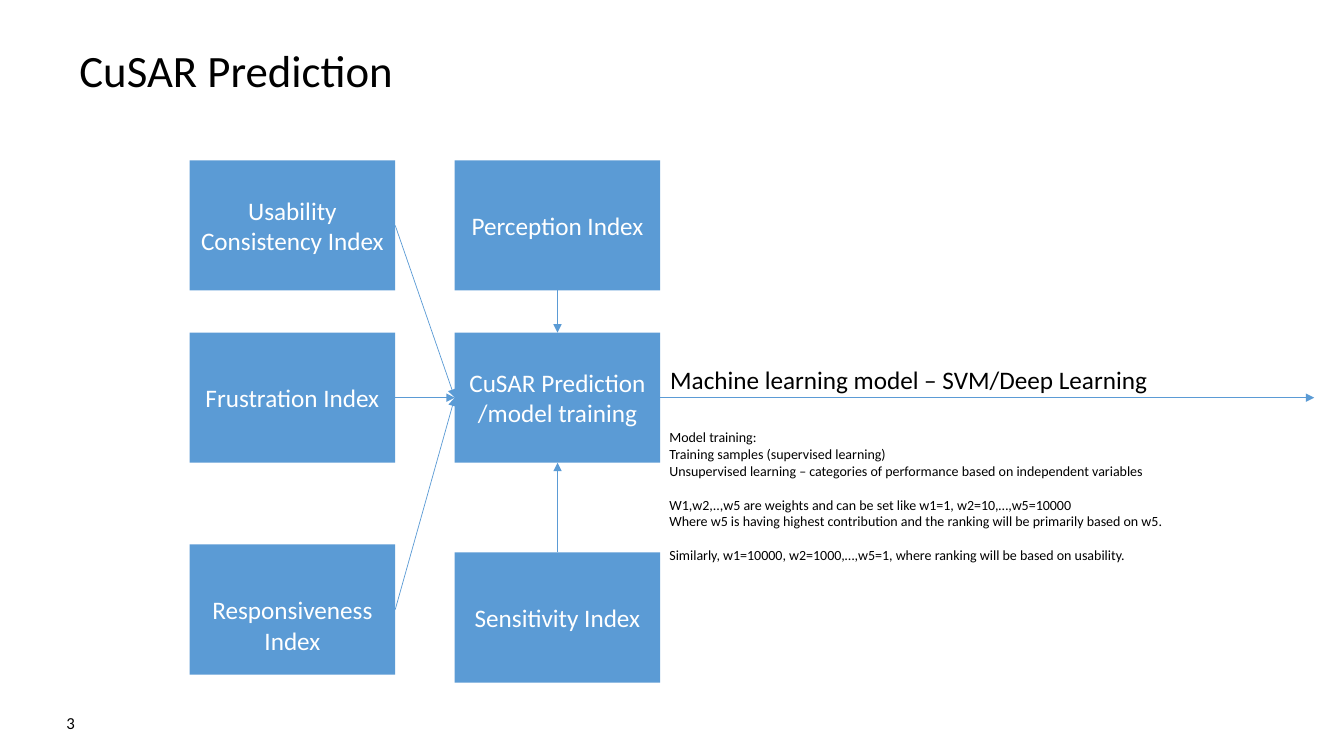
from lxml.etree import SubElement
from pptx import Presentation
from pptx.dml.color import RGBColor
from pptx.enum.shapes import MSO_CONNECTOR as CONN, MSO_SHAPE as SHAPE
from pptx.enum.text import MSO_ANCHOR as ANCHOR, MSO_AUTO_SIZE as FIT, PP_ALIGN as ALIGN
from pptx.oxml.ns import qn
from pptx.util import Cm, Pt

TOP, LEFT, BOTTOM, RIGHT = range(4)
SIDES = ("left", "top", "right", "bottom")


def rgb(value):
    """Turn a hex string into a colour."""
    return RGBColor.from_string(value)


class Deck:
    """Hold the style and the current slide."""
    font, ink, light, blue = "Calibri", "000000", "FFFFFF", "5B9BD5"
    box_w, box_h = 5.18, 3.28

    def __init__(self, prs):
        """Add a title-only slide."""
        self.slide = prs.slides.add_slide(prs.slide_layouts[5])

    def set_text(self, sp, lines, size, color=None, inset=(0, 0, 0, 0), gaps=(), line=None,
                 align=ALIGN.LEFT, anchor=ANCHOR.TOP, wrap=True):
        """Fill a shape with paragraphs; gaps lists those that follow a wide break."""
        tf = sp.text_frame
        frame = {"word_wrap": wrap, "auto_size": FIT.NONE, "vertical_anchor": anchor}
        frame.update((f"margin_{side}", Cm(v)) for side, v in zip(SIDES, inset))
        for name, value in frame.items():
            setattr(tf, name, value)
        for i, text in enumerate(lines):
            p = tf.add_paragraph() if i else tf.paragraphs[0]
            r = p.add_run()
            r.text = text
            space = Pt(size * 1.22 if i in gaps else 0)
            fmt = {"alignment": align, "line_spacing": line, "space_before": space}
            for name, value in fmt.items():
                setattr(p, name, value)
            for name, value in {"name": self.font, "size": Pt(size)}.items():
                setattr(r.font, name, value)
            r.font.color.rgb = rgb(color or self.ink)

    def title(self, text, x, y, w, h):
        """Place and format the title."""
        sp = self.slide.shapes.title
        for name, value in {"left": x, "top": y, "width": w, "height": h}.items():
            setattr(sp, name, Cm(value))
        self.set_text(sp, [text], 32, line=0.9)

    def text(self, lines, x, y, w, h, size, **fmt):
        """Add a text box."""
        sp = self.slide.shapes.add_textbox(Cm(x), Cm(y), Cm(w), Cm(h))
        self.set_text(sp, lines, size, **fmt)

    def box(self, lines, x, y, drop=0):
        """Add a blue box, its label lowered by a larger top inset."""
        sp = self.slide.shapes.add_shape(
            SHAPE.RECTANGLE, Cm(x), Cm(y), Cm(self.box_w), Cm(self.box_h))
        sp.shadow.inherit = False
        sp.fill.solid()
        sp.fill.fore_color.rgb = rgb(self.blue)
        sp.line.fill.background()
        self.set_text(sp, lines, 18, self.light, (0.25, 0.13 + drop, 0.25, 0.13),
                      align=ALIGN.CENTER, anchor=ANCHOR.MIDDLE)
        return sp

    def arrow(self, start, site, end=None, end_site=None, length=0):
        """Add an arrow from a box to another box, or to the right by a length."""
        x, y = start.left + start.width, start.top + start.height // 2
        cx = self.slide.shapes.add_connector(CONN.STRAIGHT, x, y, x + Cm(length), y)
        cx.begin_connect(start, site)
        if end is not None:
            cx.end_connect(end, end_site)
        cx.line.color.rgb = rgb(self.blue)
        cx.line.width = Pt(0.5)
        props = cx.element.spPr
        SubElement(props.find(qn("a:ln")), qn("a:tailEnd"), type="triangle")
        SubElement(props, qn("a:effectLst"))


def main():
    """Build the prediction slide."""
    prs = Presentation()
    prs.slide_width, prs.slide_height = Cm(33.87), Cm(19.05)
    deck = Deck(prs)
    deck.title("CuSAR Prediction", 2, 1.24, 29.87, 2.8)
    deck.text(["3"], 0.89, 17.96, 1, 0.56, 12, align=ALIGN.RIGHT)

    col1, col2 = 4.78, 11.46
    row1, row2 = 4.04, 8.38
    model = deck.box(["CuSAR Prediction", "/model training"], col2, row2)
    indexes = [
        ("Usability Consistency Index", col1, row1, 0, RIGHT, LEFT),
        ("Perception Index", col2, row1, 0, BOTTOM, TOP),
        ("Frustration Index", col1, row2, 0, RIGHT, LEFT),
        ("Responsiveness Index", col1, 13.72, 0.77, RIGHT, LEFT),
        ("Sensitivity Index", col2, 13.92, 0, TOP, BOTTOM),
    ]
    boxes = [deck.box([label], x, y, drop) for label, x, y, drop, *_ in indexes]
    for sp, (*_, site, model_site) in zip(boxes, indexes):
        deck.arrow(sp, site, model, model_site)
    deck.arrow(model, RIGHT, length=16.48)

    deck.text(["Machine learning model – SVM/Deep Learning"], 16.64, 9.04, 12.7, 1.02, 18,
              inset=(0.25, 0.13, 0.25, 0.13), wrap=False)
    notes = [
        "Model training:",
        "Training samples (supervised learning)",
        "Unsupervised learning – categories of performance based on independent variables",
        "W1,w2,..,w5 are weights and can be set like w1=1, w2=10,…,w5=10000",
        "Where w5 is having highest contribution and the ranking will be primarily based on w5.",
        "Similarly, w1=10000, w2=1000,…,w5=1, where ranking will be based on usability.",
    ]
    deck.text(notes, 16.87, 10.8, 14.22, 5.13, 10, gaps=(3, 5))
    prs.save("out.pptx")


if __name__ == "__main__":
    main()
